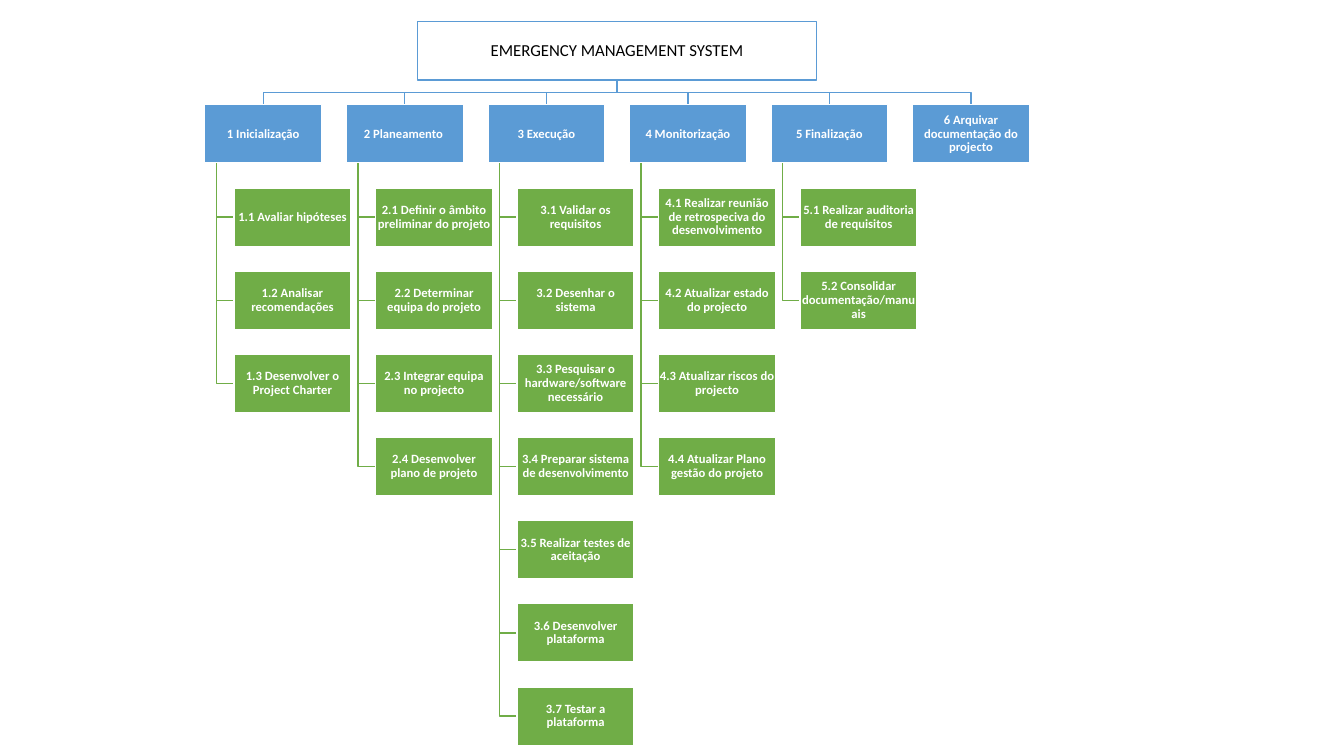
from pptx import Presentation
from pptx.dml.color import RGBColor
from pptx.enum.shapes import MSO_SHAPE
from pptx.enum.text import MSO_ANCHOR, PP_ALIGN
from pptx.util import Pt

RECTANGLE = MSO_SHAPE.RECTANGLE
MIDDLE = MSO_ANCHOR.MIDDLE
CENTER = PP_ALIGN.CENTER

SYSTEM = "EMERGENCY MANAGEMENT SYSTEM"
PHASES = [
    ("1 Inicialização", [
        "1.1 Avaliar hipóteses",
        "1.2 Analisar recomendações",
        "1.3 Desenvolver o Project Charter",
    ]),
    ("2 Planeamento ", [
        "2.1 Definir o âmbito preliminar do projeto",
        "2.2 Determinar equipa do projeto",
        "2.3 Integrar equipa no projecto",
        "2.4 Desenvolver plano de projeto",
    ]),
    ("3 Execução", [
        "3.1 Validar os requisitos",
        "3.2 Desenhar o sistema",
        "3.3 Pesquisar o hardware/software necessário",
        "3.4 Preparar sistema de desenvolvimento",
        "3.5 Realizar testes de aceitação",
        "3.6 Desenvolver plataforma",
        "3.7 Testar a plataforma",
    ]),
    ("4 Monitorização", [
        "4.1 Realizar reunião de retrospeciva do desenvolvimento",
        "4.2 Atualizar estado do projecto",
        "4.3 Atualizar riscos do projecto",
        "4.4 Atualizar Plano gestão do projeto",
    ]),
    ("5 Finalização", [
        "5.1 Realizar auditoria de requisitos",
        "5.2 Consolidar documentação/manuais",
    ]),
    ("6 Arquivar documentação do projecto", []),
]

BLUE, GREEN, WHITE, BLACK = "5B9BD5", "70AD47", "FFFFFF", "000000"
FONT = "Calibri"
LEFT, TOP = 146.3, 15.4
BOX_W, BOX_H = 83.5, 41.75
SYSTEM_W = 285
COLUMN_STEP, ROW_STEP = 101.1, 59.4
TASK_INDENT, TRUNK_INDENT = BOX_W / 4, BOX_W / 10
INSET = 0.6

SYSTEM_X = LEFT + (len(PHASES) - 1) * COLUMN_STEP / 2 + BOX_W / 2
SYSTEM_BOTTOM = TOP + BOX_H
PHASE_TOP = TOP + ROW_STEP
PHASE_BOTTOM = PHASE_TOP + BOX_H
BUS_Y = (SYSTEM_BOTTOM + PHASE_TOP) / 2


def color(value):
    return RGBColor.from_string(value)


def add_branch(slide, points, line):
    start, *rest = [(Pt(x), Pt(y)) for x, y in points]
    builder = slide.shapes.build_freeform(*start)
    builder.add_line_segments(rest, close=False)
    branch = builder.convert_to_shape()
    branch.shadow.inherit = False
    branch.fill.background()
    branch.line.color.rgb = color(line)
    branch.line.width = Pt(1)


def add_box(slide, label, x, y, fill, width=BOX_W, line=WHITE, ink=WHITE, size=9, bold=True):
    box = slide.shapes.add_shape(RECTANGLE, Pt(x), Pt(y), Pt(width), Pt(BOX_H))
    box.shadow.inherit = False
    box.fill.solid()
    box.fill.fore_color.rgb = color(fill)
    box.line.color.rgb = color(line)
    box.line.width = Pt(1)
    frame = box.text_frame
    frame.text = label
    frame.word_wrap = True
    frame.vertical_anchor = MIDDLE
    frame.margin_left = frame.margin_right = Pt(INSET)
    frame.margin_top = frame.margin_bottom = Pt(INSET)
    paragraph = frame.paragraphs[0]
    paragraph.alignment = CENTER
    paragraph.line_spacing = 0.9
    font = paragraph.runs[0].font
    font.name = FONT
    font.size = Pt(size)
    font.bold = bold
    font.color.rgb = color(ink)


def main():
    """Build the work breakdown chart: system, phases and their tasks."""
    deck = Presentation()
    deck.slide_width, deck.slide_height = Pt(960), Pt(540)
    slide = deck.slides.add_slide(deck.slide_layouts[6])

    add_box(slide, SYSTEM, SYSTEM_X - SYSTEM_W / 2, TOP, WHITE,
            width=SYSTEM_W, line=BLUE, ink=BLACK, size=12, bold=False)
    for column, (phase, tasks) in enumerate(PHASES):
        x = LEFT + column * COLUMN_STEP
        center, trunk, task_x = x + BOX_W / 2, x + TRUNK_INDENT, x + TASK_INDENT
        add_branch(slide, [(SYSTEM_X, SYSTEM_BOTTOM), (SYSTEM_X, BUS_Y),
                           (center, BUS_Y), (center, PHASE_TOP)], BLUE)
        add_box(slide, phase, x, PHASE_TOP, BLUE)
        for row, task in enumerate(tasks, 1):
            y = PHASE_TOP + row * ROW_STEP
            middle = y + BOX_H / 2
            add_branch(slide, [(trunk, PHASE_BOTTOM), (trunk, middle), (task_x, middle)], GREEN)
            add_box(slide, task, task_x, y, GREEN)

    deck.save("out.pptx")


if __name__ == "__main__":
    main()
